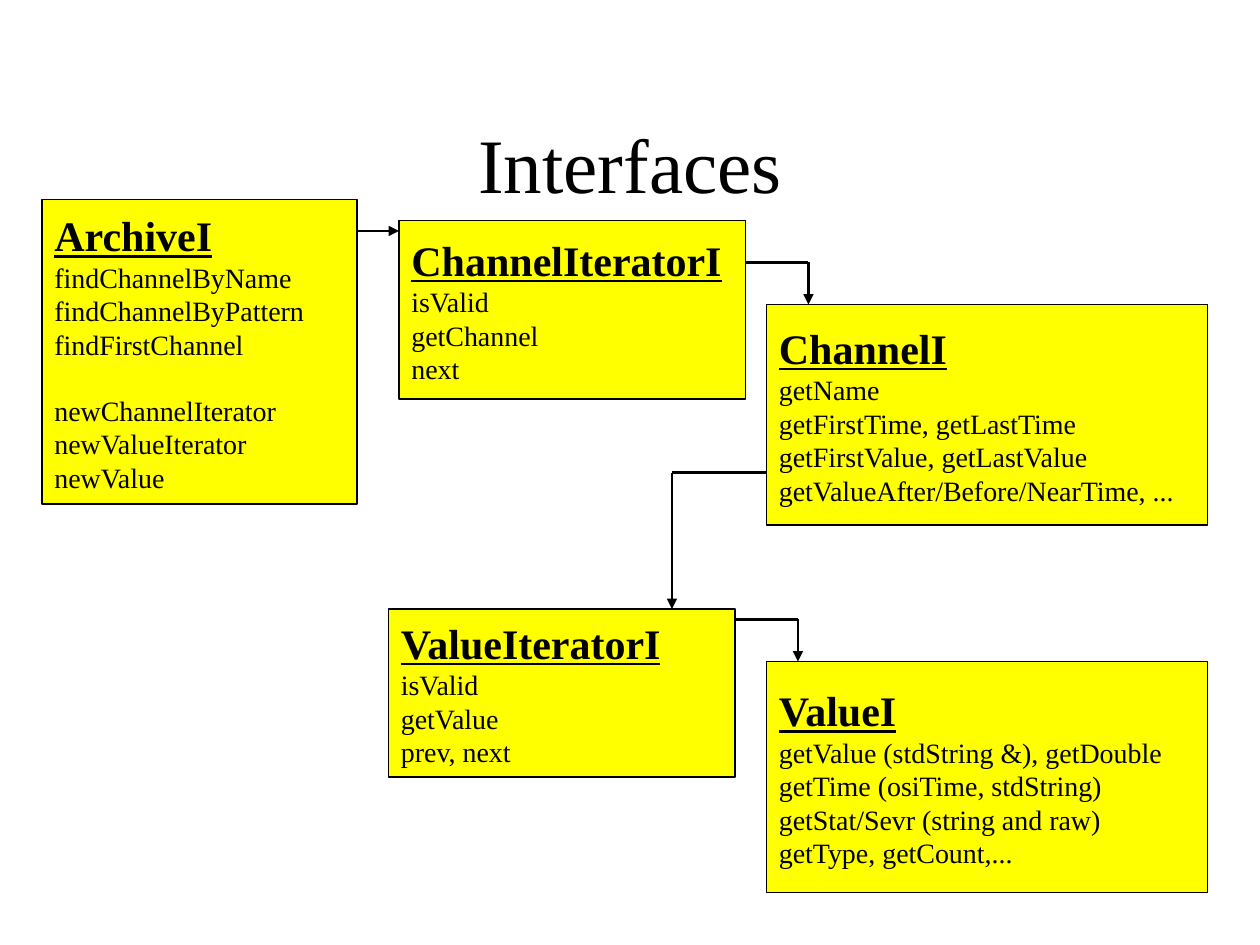
import pptx
import pptx.util
import pptx.dml.color
import pptx.enum.shapes
import pptx.enum.text
import pptx.oxml.ns
import lxml.etree

PX = 7620
FACE = "Times New Roman"
HEX = {"ink": "000000", "box": "FFFF00", "page": "FFFFFF"}
CARDS = [
    ((40, 190, 300, 290), "ArchiveI",
     [["findChannelByName", "findChannelByPattern", "findFirstChannel"],
      ["newChannelIterator", "newValueIterator", "newValue"]]),
    ((380, 210, 330, 170), "ChannelIteratorI",
     [["isValid", "getChannel", "next"]]),
    ((730, 290, 420, 210), "ChannelI",
     [["getName", "getFirstTime, getLastTime", "getFirstValue, getLastValue",
       "getValueAfter/Before/NearTime, ..."]]),
    ((370, 580, 330, 160), "ValueIteratorI",
     [["isValid", "getValue", "prev, next"]]),
    ((730, 630, 420, 220), "ValueI",
     [["getValue (stdString &), getDouble", "getTime (osiTime, stdString)",
       "getStat/Sevr (string and raw)", "getType, getCount,..."]]),
]
PATHS = [
    [(340, 220), (380, 220)],
    [(710, 250), (770, 250), (770, 290)],
    [(730, 450), (640, 450), (640, 580)],
    [(700, 590), (760, 590), (760, 630)],
]


def emu(*vals):
    """Turn px lengths into EMU."""
    return [val * PX for val in vals]


def tone(name):
    """Return the named colour."""
    return pptx.dml.color.RGBColor.from_string(HEX[name])


def style(para, size, bold=False):
    """Set the font of a paragraph; bold heads are underlined."""
    font = para.font
    font.name, font.size = FACE, pptx.util.Pt(size)
    font.bold = font.underline = bold
    font.color.rgb = tone("ink")


def add_title(slide, box, text):
    """Place the slide title."""
    title = slide.shapes.title
    title.left, title.top, title.width, title.height = emu(*box)
    frame = title.text_frame
    frame.text = text
    frame.auto_size = pptx.enum.text.MSO_AUTO_SIZE.NONE
    frame.vertical_anchor = pptx.enum.text.MSO_ANCHOR.MIDDLE
    frame.paragraphs[0].alignment = pptx.enum.text.PP_ALIGN.CENTER
    style(frame.paragraphs[0], 44)


def add_card(slide, box, name, groups):
    """Draw one interface with its groups of methods."""
    card = slide.shapes.add_shape(
        pptx.enum.shapes.MSO_SHAPE.RECTANGLE, *emu(*box))
    card.shadow.inherit = False
    card.fill.solid()
    card.fill.fore_color.rgb = tone("box")
    card.line.color.rgb = tone("ink")
    card.line.width = pptx.util.Pt(0.75)
    frame = card.text_frame
    frame.word_wrap = True
    frame.vertical_anchor = pptx.enum.text.MSO_ANCHOR.MIDDLE
    head = frame.paragraphs[0]
    head.text = name
    style(head, 24, True)
    for rank, group in enumerate(groups):
        for row, text in enumerate(group):
            para = frame.add_paragraph()
            para.text = text
            style(para, 16)
            if rank and not row:
                para.space_before = pptx.util.Pt(18.4)
    for para in frame.paragraphs:
        para.alignment = pptx.enum.text.PP_ALIGN.LEFT


def add_path(slide, points):
    """Draw straight lines through the points, with an arrow at the end."""
    for start, end in zip(points, points[1:]):
        line = slide.shapes.add_connector(
            pptx.enum.shapes.MSO_CONNECTOR.STRAIGHT, *emu(*start, *end))
        line.line.color.rgb = tone("ink")
        line.line.width = pptx.util.Pt(1.25)
        if end == points[-1]:
            lxml.etree.SubElement(line.line._get_or_add_ln(),
                                  pptx.oxml.ns.qn("a:tailEnd"),
                                  type="triangle", w="med", len="med")
        lxml.etree.SubElement(line._element.spPr,
                              pptx.oxml.ns.qn("a:effectLst"))


def main():
    """Build the slide and save it."""
    deck = pptx.Presentation()
    deck.slide_width, deck.slide_height = emu(1200, 900)
    slide = deck.slides.add_slide(deck.slide_layouts[5])
    slide.background.fill.solid()
    slide.background.fill.fore_color.rgb = tone("page")
    add_title(slide, (90, 80, 1020, 150), "Interfaces")
    for box, name, groups in CARDS:
        add_card(slide, box, name, groups)
    for points in PATHS:
        add_path(slide, points)
    deck.save("out.pptx")


if __name__ == "__main__":
    main()
